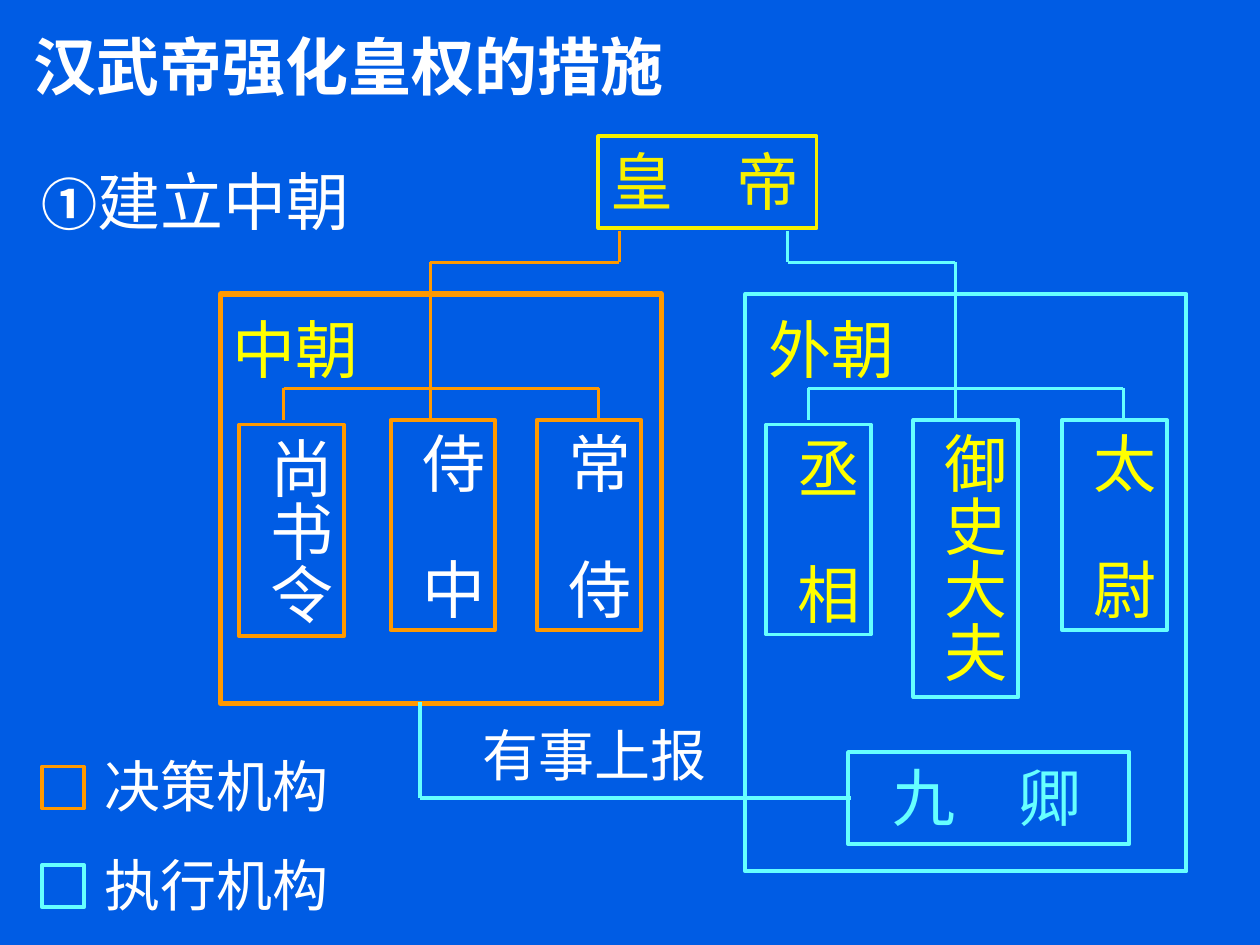
"""Build a slide on how Emperor Wu of Han strengthened imperial power."""
import pptx
import pptx.dml.color
import pptx.enum.shapes
import pptx.enum.text
import pptx.oxml.xmlchemy
import pptx.util

Pt = pptx.util.Pt
COLORS = {
    "background": "005CE4", "white": "FFFFFF", "gold": "F6F000",
    "yellow": "FFFF00", "orange": "FF9900", "cyan": "66FFFF",
}
FONT = "Times New Roman"
LINE_WIDTH = 2.25
OFFICE_WIDTH = 59.8

TITLE = [("汉武帝强化皇权的措施", 36, True)]
SUBTITLE = [("①", 32, True), ("建立中朝", 36, False)]
EMPEROR = ("皇　帝", (342, 77.8, 124.6, 52.6))
MINISTERS = ("九　卿", (484.6, 429.8, 160.6, 52.6))
REPORT = ("有事上报", (268.6, 408, 142.6, 45.4))
LEGEND = [("决策机构", "orange", 438), ("执行机构", "cyan", 494.4)]

COURTS = [
    {
        "name": "中朝", "name_left": 126, "color": "orange", "text": "white",
        "frame": (126, 168, 252, 234), "frame_line": 3,
        "root": 354, "trunk": 246, "branches": (162, 246, 342),
        "offices": [("尚书令", 136.8, 242.6, 121), ("侍　中", 223.2, 240, 120),
                    ("常　侍", 306.7, 240, 120)],
    },
    {
        "name": "外朝", "name_left": 432, "color": "cyan", "text": "yellow",
        "frame": (426, 168, 252, 330), "frame_line": LINE_WIDTH,
        "root": 450, "trunk": 546, "branches": (462, 546, 642),
        "offices": [("丞　相", 437.8, 242.6, 120), ("御史大夫", 522, 240, 158.4),
                    ("太　尉", 607, 240, 120)],
    },
]
ROOT_Y, SPLIT_Y, BRANCH_Y, OFFICE_Y = 132, 150, 222, 240
REPORT_PATH = [(240, 401), (240, 456), (486, 456)]


def rgb(name):
    return pptx.dml.color.RGBColor.from_string(COLORS[name])


def apply(target, formats):
    for name, value in formats.items():
        setattr(target, name, value)


def place(shape, box):
    apply(shape, dict(zip(("left", "top", "width", "height"), map(Pt, box))))


def write(shape, runs, color, wrap=False, indent=0):
    frame = shape.text_frame
    apply(frame, {
        "word_wrap": wrap,
        "auto_size": pptx.enum.text.MSO_AUTO_SIZE.NONE,
        "vertical_anchor": pptx.enum.text.MSO_ANCHOR.TOP,
        "margin_left": Pt(7.2 + indent), "margin_right": Pt(7.2),
        "margin_top": Pt(3.6), "margin_bottom": Pt(3.6),
    })
    paragraph = frame.paragraphs[0]
    apply(paragraph, {"alignment": pptx.enum.text.PP_ALIGN.LEFT, "space_before": Pt(0)})
    for text, size, bold in runs:
        run = paragraph.add_run()
        run.text = text
        apply(run.font, {"name": FONT, "size": Pt(size), "bold": bold})
        run.font.color.rgb = rgb(color)
    return paragraph


def add_label(slide, text, box, size, color):
    shape = slide.shapes.add_textbox(*map(Pt, box))
    write(shape, [(text, size, False)], color)


def add_box(slide, box, color, width=LINE_WIDTH):
    shape = slide.shapes.add_shape(
        pptx.enum.shapes.MSO_SHAPE.RECTANGLE, *map(Pt, box))
    shape.shadow.inherit = False
    shape.fill.background()
    shape.line.color.rgb = rgb(color)
    shape.line.width = Pt(width)
    return shape


def add_line(slide, start, end, color):
    line = slide.shapes.add_connector(
        pptx.enum.shapes.MSO_CONNECTOR.STRAIGHT, *map(Pt, start + end))
    line.line.color.rgb = rgb(color)
    line.line.width = Pt(LINE_WIDTH)
    line._element.spPr.append(pptx.oxml.xmlchemy.OxmlElement("a:effectLst"))


def add_path(slide, points, color):
    for start, end in zip(points, points[1:]):
        add_line(slide, start, end, color)


def add_court(slide, court):
    color = court["color"]
    trunk, branches = court["trunk"], court["branches"]
    add_box(slide, court["frame"], color, court["frame_line"])
    for text, left, top, height in court["offices"]:
        office = add_box(slide, (left, top, OFFICE_WIDTH, height), color)
        write(office, [(text, 36, False)], court["text"])
        office.text_frame._txBody.bodyPr.set("vert", "eaVert")
    add_path(slide, [(court["root"], ROOT_Y), (court["root"], SPLIT_Y),
                     (trunk, SPLIT_Y), (trunk, BRANCH_Y)], color)
    add_line(slide, (branches[0], BRANCH_Y), (branches[-1], BRANCH_Y), color)
    for x in branches:
        add_line(slide, (x, BRANCH_Y), (x, OFFICE_Y), color)
    add_label(slide, court["name"], (court["name_left"], 174, 86.4, 50.4), 36, "yellow")


def add_headings(slide):
    title, body = slide.placeholders
    place(title, (12.2, 12.2, 444.2, 50.4))
    write(title, TITLE, "white", wrap=True)
    place(body, (16.6, 89.3, 247, 50.4))
    paragraph = write(body, SUBTITLE, "white", wrap=True)
    properties = paragraph._p.get_or_add_pPr()
    properties.set("marL", "0")
    properties.set("indent", "0")
    properties.append(pptx.oxml.xmlchemy.OxmlElement("a:buNone"))


def main():
    presentation = pptx.Presentation()
    apply(presentation, {"slide_width": Pt(720), "slide_height": Pt(540)})
    slide = presentation.slides.add_slide(presentation.slide_layouts[1])
    slide.background.fill.solid()
    slide.background.fill.fore_color.rgb = rgb("background")

    add_headings(slide)
    text, box = EMPEROR
    write(add_box(slide, box, "gold"), [(text, 36, False)], "gold")
    for court in COURTS:
        add_court(slide, court)
    text, box = MINISTERS
    write(add_box(slide, box, "cyan"), [(text, 36, False)], "cyan", wrap=True, indent=18)
    add_path(slide, REPORT_PATH, "cyan")
    text, box = REPORT
    add_label(slide, text, box, 32, "white")
    for text, color, top in LEGEND:
        add_box(slide, (24, top, 24, 24), color)
        add_label(slide, text, (52.6, top - 12, 142.6, 45.4), 32, "white")
    presentation.save("out.pptx")


if __name__ == "__main__":
    main()
